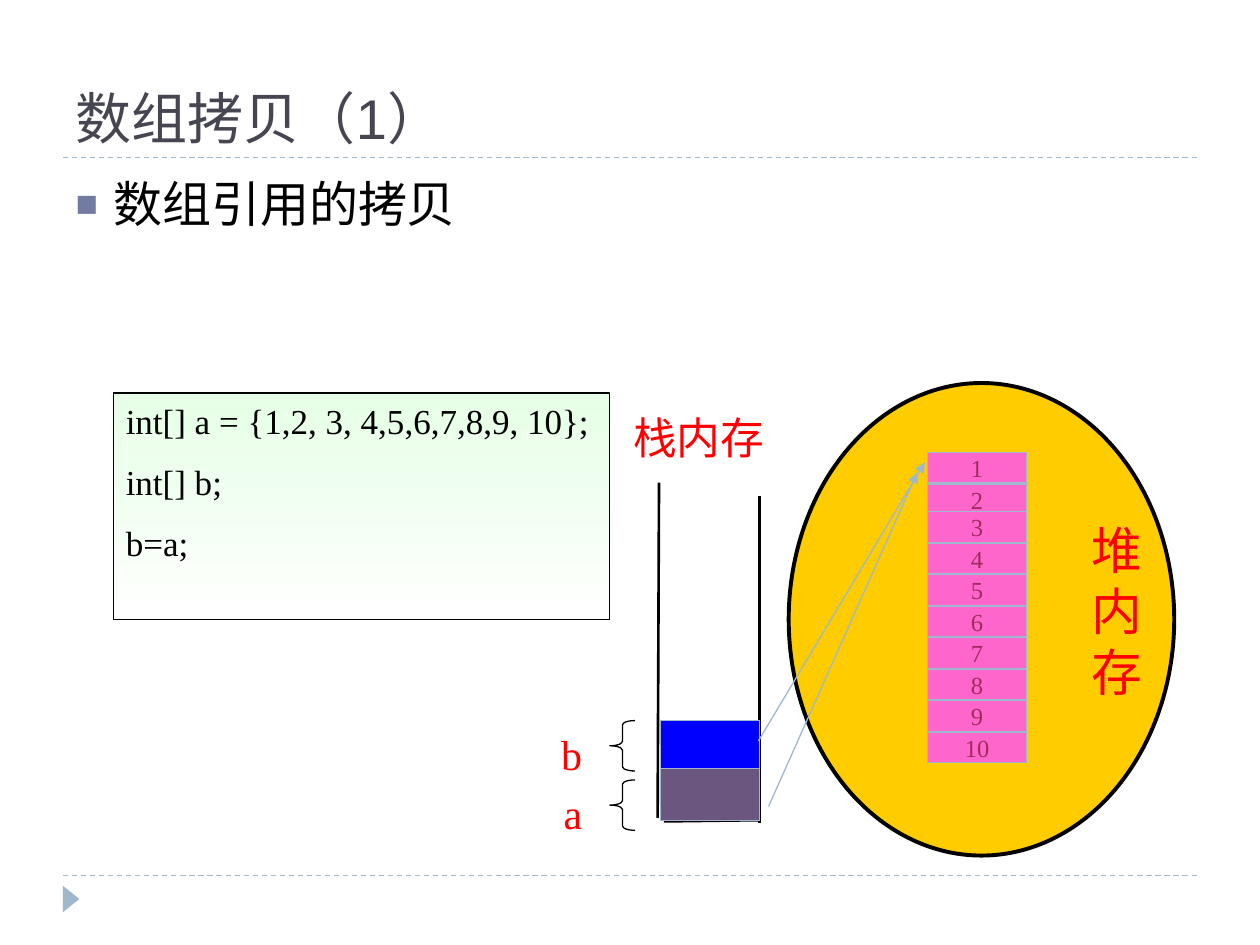
from dataclasses import dataclass
from lxml.etree import SubElement
from pptx import Presentation
from pptx.dml.color import RGBColor
from pptx.enum.dml import MSO_LINE
from pptx.enum.shapes import MSO_CONNECTOR, MSO_SHAPE
from pptx.enum.text import MSO_ANCHOR, MSO_AUTO_SIZE, PP_ALIGN
from pptx.oxml.ns import qn
from pptx.util import Pt


@dataclass(frozen=True)
class Theme:
    serif: str = "Times New Roman"
    sans: str = "Arial"
    black: str = "000000"
    white: str = "FFFFFF"
    red: str = "FF0000"
    blue: str = "0000FF"
    plum: str = "6B5680"
    steel: str = "9FB8CD"
    slate: str = "464653"
    bullet: str = "727CA3"
    gold: str = "FFCC00"
    pink: str = "FF66CC"
    wine: str = "A02C5E"
    mint: str = "E6FFE6"
    title: float = 32
    body: float = 28
    code: float = 20
    stack: float = 25
    heap: float = 29
    name: float = 24
    cell: float = 14
    thin: float = 0.75
    wall: float = 1.5
    rim: float = 2.25


T = Theme()


def rgb(code):
    return RGBColor.from_string(code)


def place(item, left, top, width, height):
    item.left, item.top, item.width, item.height = map(Pt, (left, top, width, height))


def add_run(para, text, size, color, font=T.serif):
    run = para.add_run()
    run.text = text
    run.font.size = Pt(size)
    run.font.name = font
    run.font.color.rgb = rgb(color)


def set_frame(frame, side, edge, anchor):
    frame.word_wrap = True
    frame.auto_size = MSO_AUTO_SIZE.NONE
    frame.vertical_anchor = anchor
    frame.margin_left = frame.margin_right = Pt(side)
    frame.margin_top = frame.margin_bottom = Pt(edge)


def add_line(home, start, end, color, width=T.thin, dash=None, arrow=False):
    line = home.add_connector(MSO_CONNECTOR.STRAIGHT, *map(Pt, (*start, *end)))
    line.line.color.rgb = rgb(color)
    line.line.width = Pt(width)
    if dash:
        line.line.dash_style = dash
    if arrow:
        SubElement(line.line._get_or_add_ln(), qn("a:tailEnd"), type="triangle")
    SubElement(line._element.spPr, qn("a:effectLst"))


def add_form(home, kind, box, fill=None, edge=None, width=T.thin):
    form = home.add_shape(kind, *map(Pt, box))
    form.shadow.inherit = False
    if fill:
        form.fill.solid()
        form.fill.fore_color.rgb = rgb(fill)
    else:
        form.fill.background()
    if edge:
        form.line.color.rgb = rgb(edge)
        form.line.width = Pt(width)
    else:
        form.line.fill.background()
    return form


def add_label(home, box, text, size, align):
    frame = home.add_textbox(*map(Pt, box)).text_frame
    set_frame(frame, 8.64, 4.32, MSO_ANCHOR.TOP)
    para = frame.paragraphs[0]
    para.alignment = align
    add_run(para, text, size, T.red)


def add_frame(shapes):
    # Dashed rules and corner mark
    for y in (500.4, 90):
        add_line(shapes, (36, y), (684, y), T.steel, dash=MSO_LINE.DASH)
    mark = add_form(shapes, MSO_SHAPE.ISOSCELES_TRIANGLE, (33.1, 509, 15.1, 9.4), T.steel)
    mark.rotation = 90


def add_heads(slide):
    # Title
    title = slide.shapes.title
    place(title, 36, 12.2, 648, 77.8)
    set_frame(title.text_frame, 7.2, 3.6, MSO_ANCHOR.BOTTOM)
    para = title.text_frame.paragraphs[0]
    para.alignment = PP_ALIGN.LEFT
    add_run(para, "数组拷贝（1）", T.title, T.slate, T.sans)
    # Bullet list
    body = slide.placeholders[1]
    place(body, 36, 95.8, 648, 386.6)
    set_frame(body.text_frame, 7.2, 3.6, MSO_ANCHOR.TOP)
    para = body.text_frame.paragraphs[0]
    para.space_before = Pt(6)
    add_run(para, "数组引用的拷贝", T.body, T.black)
    props = para._p.get_or_add_pPr()
    props.set("marL", str(Pt(21.6)))
    props.set("indent", str(-Pt(21.6)))
    SubElement(SubElement(props, qn("a:buClr")), qn("a:srgbClr"), val=T.bullet)
    SubElement(props, qn("a:buSzPct"), val="76000")
    SubElement(props, qn("a:buFont"), typeface=T.sans)
    SubElement(props, qn("a:buChar"), char="■")


def add_stack(shapes):
    # Open-topped stack
    home = shapes.add_group_shape().shapes
    for start, end in (((376.6, 275.8), (375.8, 467.3)),
                       ((434, 283.7), (434, 470.2)),
                       ((379.4, 469.4), (433.4, 468.7))):
        add_line(home, start, end, T.black, T.wall)
    add_label(shapes, (342.7, 230.4, 113, 38.9), "栈内存", T.stack, PP_ALIGN.CENTER)


def add_heap(shapes):
    # Heap with the array cells
    home = shapes.add_group_shape().shapes
    add_form(home, MSO_SHAPE.OVAL, (450.7, 218.9, 220.3, 270), T.gold, T.black, T.rim)
    for i in range(10):
        top = (258.5 if i < 2 else 256.3) + 18 * i
        cell = add_form(home, MSO_SHAPE.RECTANGLE, (529.9, top, 56.9, 17.6), T.pink, T.steel)
        set_frame(cell.text_frame, 8.64, 0, MSO_ANCHOR.MIDDLE)
        para = cell.text_frame.paragraphs[0]
        para.alignment = PP_ALIGN.CENTER
        add_run(para, str(i + 1), T.cell, T.wine)
    add_label(home, (614.9, 292.3, 35.3, 114.5), "堆内存", T.heap, PP_ALIGN.RIGHT)


def add_names(shapes):
    # Variables on the stack
    home = shapes.add_group_shape().shapes
    for name, top, slot, fill in (("b", 411.8, 411.8, T.blue), ("a", 445.7, 439.2, T.plum)):
        add_form(home, MSO_SHAPE.RECTANGLE, (377.3, slot, 56.9, 29.5), fill, T.steel)
        add_label(home, (292.3, top, 49, 37.4), name, T.name, PP_ALIGN.RIGHT)
        brace = add_form(home, MSO_SHAPE.LEFT_BRACE, (348.5, top, 14.4, 28.8), edge=T.black)
        brace.adjustments[0] = 0.17


def add_code(shapes):
    # Code panel
    panel = add_form(shapes, MSO_SHAPE.RECTANGLE, (64.8, 224.6, 283.7, 129.6), T.mint, T.black)
    panel.fill.gradient()
    panel.fill.gradient_angle = 270
    for stop, color, spot in zip(panel.fill.gradient_stops, (T.mint, T.white), (0, 1)):
        stop.color.rgb = rgb(color)
        stop.position = spot
    frame = panel.text_frame
    set_frame(frame, 7.2, 3.6, MSO_ANCHOR.TOP)
    for i, text in enumerate(("int[] a = {1,2, 3, 4,5,6,7,8,9, 10};", "int[] b;", "b=a;")):
        para = frame.add_paragraph() if i else frame.paragraphs[0]
        para.alignment = PP_ALIGN.LEFT
        para.space_before = Pt(11 if i else 0)
        add_run(para, text, T.code, T.black)


def main():
    deck = Presentation()
    deck.slide_width, deck.slide_height = Pt(720), Pt(540)
    slide = deck.slides.add_slide(deck.slide_layouts[1])
    shapes = slide.shapes
    add_frame(shapes)
    add_heads(slide)
    add_stack(shapes)
    add_heap(shapes)
    add_names(shapes)
    # References into the heap
    add_line(shapes, (433.4, 423.4), (528.5, 264.2), T.steel, arrow=True)
    add_code(shapes)
    add_line(shapes, (439.2, 460.8), (524.2, 270), T.steel, arrow=True)
    deck.save("out.pptx")


main()
